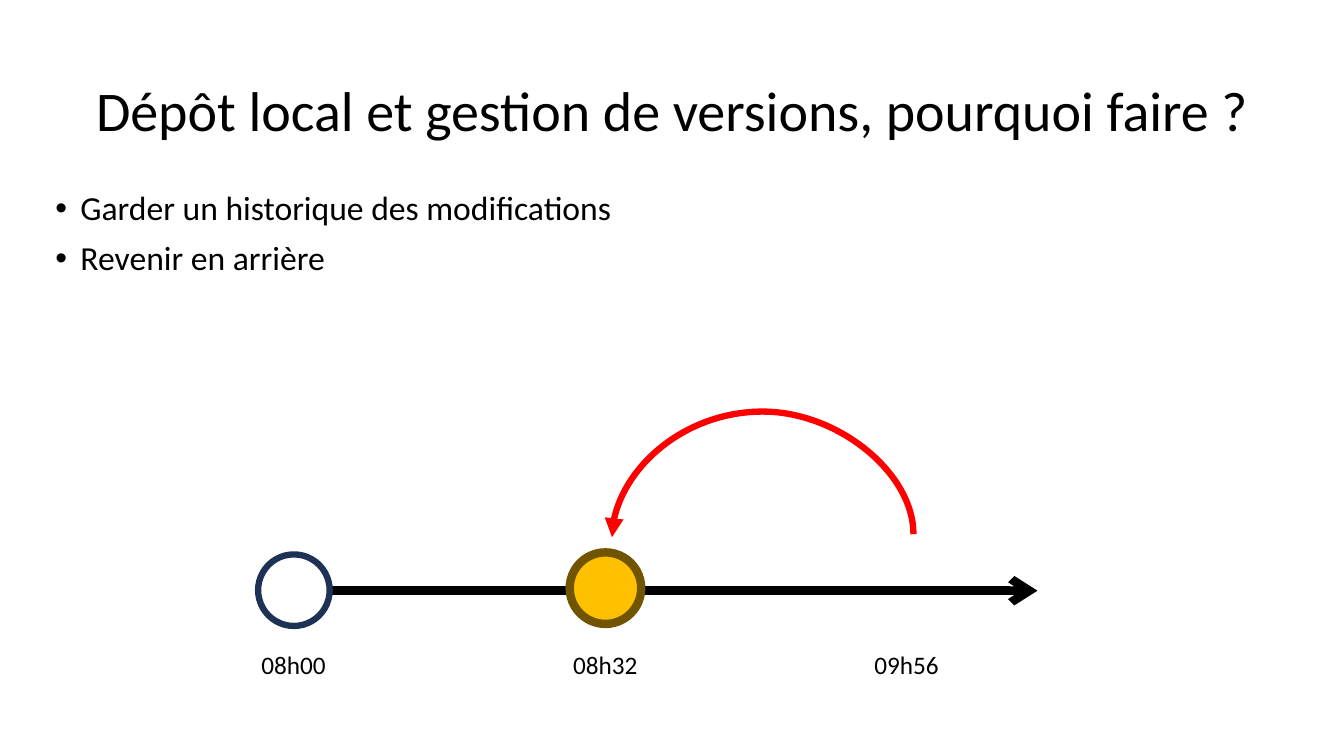
from lxml import etree
from pptx import Presentation
from pptx import util as u
from pptx.dml.color import RGBColor
from pptx.enum import shapes, text
from pptx.oxml.ns import qn

TITLE = "Dépôt local et gestion de versions, pourquoi faire ?"
BULLETS = ["Garder un historique des modifications", "Revenir en arrière"]

BLACK = RGBColor(0x00, 0x00, 0x00)
WHITE = RGBColor(0xFF, 0xFF, 0xFF)
NAVY = RGBColor(0x1E, 0x32, 0x56)
GOLD = RGBColor(0xFF, 0xC0, 0x00)
BROWN = RGBColor(0x70, 0x54, 0x00)
RED = RGBColor(0xFF, 0x00, 0x00)

TIMES = [("08h00", 2.92), ("08h32", 6.01), ("09h56", 9.0)]
VERSIONS = [(2.56, 5.5, WHITE, NAVY, 4.5), (5.65, 5.48, GOLD, BROWN, 6)]
AXIS = (2.9, 10.29, 5.86)
RETURN_START, RETURN_END, RETURN_TOP = (9.06, 5.3), (6.07, 5.33), 4.08
CIRCLE = 0.71
LABEL_WIDTH, LABEL_HEIGHT, LABEL_TOP = 0.85, 0.4, 6.39


def inches(*values):
    return [u.Inches(value) for value in values]


def set_font(paragraph, size):
    paragraph.font.name = "Calibri"
    paragraph.font.size = u.Pt(size)
    paragraph.font.color.rgb = BLACK


def add_title(slide):
    title = slide.shapes.title
    title.left, title.top, title.width, title.height = inches(0, 0.4, 13.33, 1.45)
    frame = title.text_frame
    frame.text = TITLE
    frame.word_wrap = True
    frame.auto_size = text.MSO_AUTO_SIZE.NONE
    frame.vertical_anchor = text.MSO_ANCHOR.MIDDLE
    paragraph = frame.paragraphs[0]
    paragraph.alignment = text.PP_ALIGN.CENTER
    paragraph.line_spacing = 0.9
    set_font(paragraph, 40)


def add_bullets(slide):
    frame = slide.shapes.add_textbox(*inches(0.45, 1.85, 6, 4.76)).text_frame
    frame.word_wrap = True
    for index, line in enumerate(BULLETS):
        paragraph = frame.add_paragraph() if index else frame.paragraphs[0]
        paragraph.text = line
        paragraph.line_spacing = 0.9
        paragraph.space_before = u.Pt(10 if index else 0)
        properties = paragraph._p.get_or_add_pPr()
        properties.set("marL", str(u.Inches(0.25)))
        properties.set("indent", str(u.Inches(-0.25)))
        etree.SubElement(properties, qn("a:buFont"), typeface="Arial")
        etree.SubElement(properties, qn("a:buChar"), char="•")
        set_font(paragraph, 24)


def add_arrow(slide, kind, start, end, color, width, head):
    arrow = slide.shapes.add_connector(kind, *inches(*start, *end))
    arrow.line.color.rgb = color
    arrow.line.width = u.Pt(width)
    etree.SubElement(arrow.line._get_or_add_ln(), qn("a:tailEnd"), type=head)
    etree.SubElement(arrow._element.spPr, qn("a:effectLst"))
    return arrow


def add_version(slide, left, top, fill, outline, width):
    circle = slide.shapes.add_shape(
        shapes.MSO_SHAPE.OVAL, *inches(left, top, CIRCLE, CIRCLE))
    circle.shadow.inherit = False
    circle.fill.solid()
    circle.fill.fore_color.rgb = fill
    circle.line.color.rgb = outline
    circle.line.width = u.Pt(width)


def add_time(slide, label, center):
    box = slide.shapes.add_textbox(
        *inches(center - LABEL_WIDTH / 2, LABEL_TOP, LABEL_WIDTH, LABEL_HEIGHT))
    frame = box.text_frame
    frame.word_wrap = False
    frame.auto_size = text.MSO_AUTO_SIZE.SHAPE_TO_FIT_TEXT
    frame.text = label
    set_font(frame.paragraphs[0], 18)


def add_return(slide):
    (start_x, start_y), (end_x, end_y) = RETURN_START, RETURN_END
    span, drop = start_x - end_x, end_y - start_y
    middle_x, middle_y = (start_x + end_x) / 2, (start_y + end_y) / 2
    arrow = add_arrow(
        slide, shapes.MSO_CONNECTOR.CURVE,
        (middle_x + drop / 2, middle_y + span / 2),
        (middle_x - drop / 2, middle_y - span / 2), RED, 4.5, "triangle")
    arrow.rotation = 270
    bend = round((RETURN_TOP - start_y) / drop * 100000)
    adjustments = arrow._element.spPr.find(qn("a:prstGeom")).find(qn("a:avLst"))
    etree.SubElement(adjustments, qn("a:gd"), name="adj1", fmla=f"val {bend}")


def main():
    presentation = Presentation()
    presentation.slide_width, presentation.slide_height = inches(13.33, 7.5)
    slide = presentation.slides.add_slide(presentation.slide_layouts[5])
    add_title(slide)
    add_bullets(slide)
    left, right, axis_y = AXIS
    add_arrow(slide, shapes.MSO_CONNECTOR.STRAIGHT,
              (left, axis_y), (right, axis_y), BLACK, 6, "arrow")
    for version in VERSIONS:
        add_version(slide, *version)
    for label, center in TIMES:
        add_time(slide, label, center)
    add_return(slide)
    presentation.save("out.pptx")


if __name__ == "__main__":
    main()
